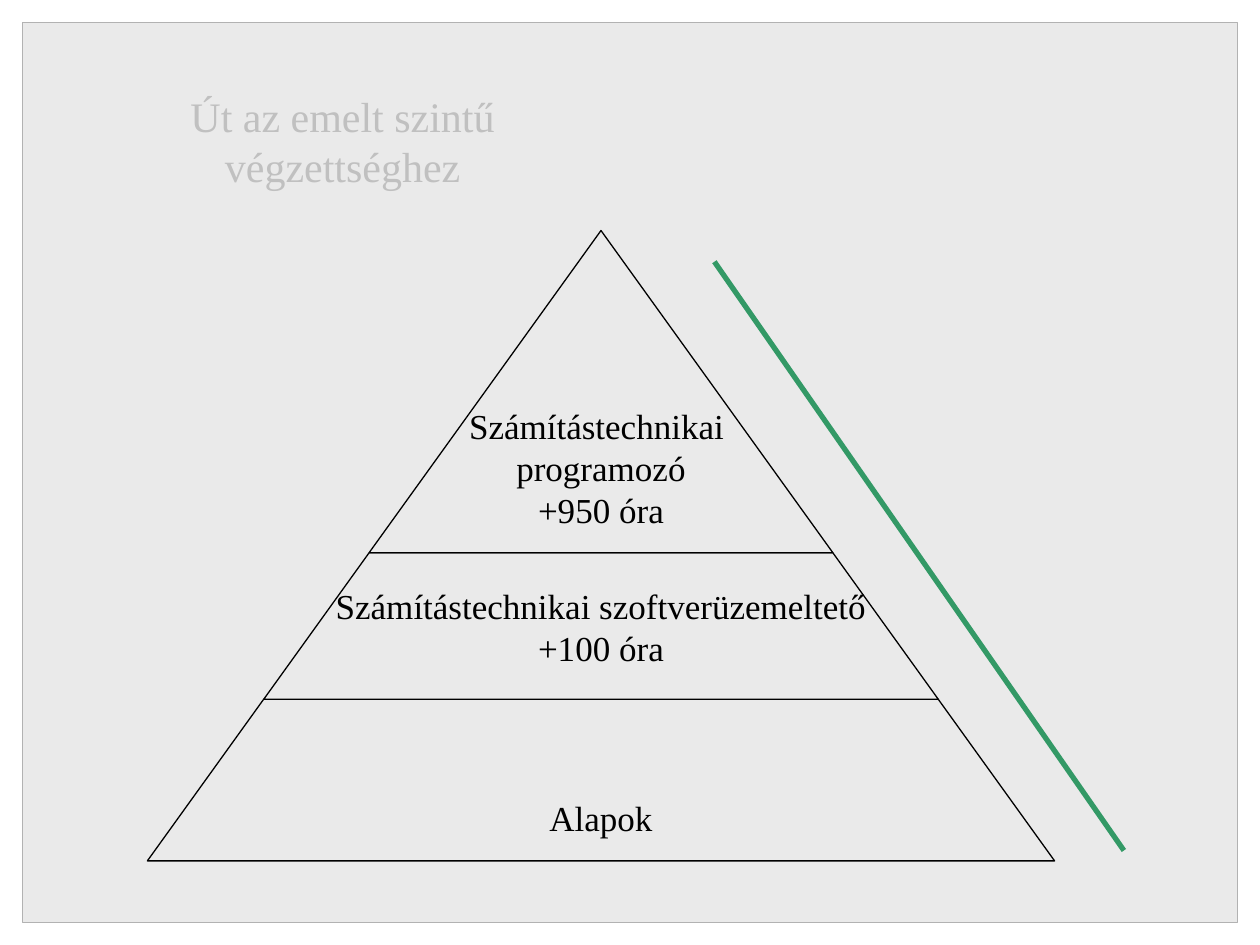
from lxml import etree
from pptx import Presentation, util as u
from pptx.dml.color import RGBColor
from pptx.enum import shapes as sh, text as tx
from pptx.oxml.ns import qn

WIDE, HIGH = u.Inches(10), u.Inches(7.5)
FONT = "Times New Roman"
COLORS = {"panel": "EAEAEA", "edge": "B2B2B2", "title": "C0C0C0",
          "ink": "000000", "green": "339966"}

# Pyramid, as shares of the slide
MID, TOP, BASE, HALF = 0.477, 0.244, 0.911, 0.36
TIERS = [  # upper edge, lower edge, anchor, lines
    (0.74, BASE, tx.MSO_ANCHOR.BOTTOM, ["Alapok"]),
    (0.585, 0.74, tx.MSO_ANCHOR.MIDDLE,
     ["Számítástechnikai szoftverüzemeltető", "+100 óra"]),
    (TOP, 0.585, tx.MSO_ANCHOR.BOTTOM,
     ["Számítástechnikai ", "programozó", "+950 óra"]),
]


def color(name):
    return RGBColor.from_string(COLORS[name])


def pos(x, y):
    """Turn shares of the slide into lengths."""
    return round(x * WIDE), round(y * HIGH)


def paint(shape, edge):
    shape.shadow.inherit = False
    shape.fill.solid()
    shape.fill.fore_color.rgb = color("panel")
    shape.line.color.rgb = color(edge)
    shape.line.width = u.Pt(0.75)


def write(frame, lines, size, ink):
    frame.text = "\n".join(lines)
    for para in frame.paragraphs:
        para.alignment = tx.PP_ALIGN.CENTER
        para.font.name = FONT
        para.font.size = u.Pt(size)
        para.font.color.rgb = color(ink)


def add_panel(slide):
    left, top = pos(0.018, 0.024)
    panel = slide.shapes.add_shape(sh.MSO_SHAPE.RECTANGLE, left, top,
                                   WIDE - 2 * left, HIGH - 2 * top)
    paint(panel, "edge")


def add_title(slide, words):
    box = slide.shapes.add_textbox(*pos(0.044, 0.089), *pos(0.456, 0.067))
    frame = box.text_frame
    frame.word_wrap = True
    frame.margin_left = frame.margin_right = u.Inches(0.3)
    write(frame, [words], 24, "title")


def add_tier(slide, upper, lower, anchor, lines):
    def span(y):
        return HALF * (y - TOP) / (BASE - TOP)

    up, low = span(upper), span(lower)
    build = slide.shapes.build_freeform(*pos(MID - low, lower))
    build.add_line_segments([pos(MID - up, upper), pos(MID + up, upper),
                             pos(MID + low, lower)], close=True)
    tier = build.convert_to_shape()
    paint(tier, "ink")
    frame = tier.text_frame
    frame.word_wrap = False
    frame.vertical_anchor = anchor
    if anchor == tx.MSO_ANCHOR.BOTTOM:
        frame.margin_bottom = u.Inches(0.18)
    write(frame, lines, 20, "ink")


def add_line(slide, start, end):
    line = slide.shapes.add_connector(sh.MSO_CONNECTOR.STRAIGHT,
                                      *pos(*start), *pos(*end))
    line.line.color.rgb = color("green")
    line.line.width = u.Pt(3)
    etree.SubElement(line._element.spPr, qn("a:effectLst"))


def main():
    deck = Presentation()
    deck.slide_width, deck.slide_height = WIDE, HIGH
    slide = deck.slides.add_slide(deck.slide_layouts[6])

    # Background and title
    add_panel(slide)
    add_title(slide, "Út az emelt szintű végzettséghez")

    # Pyramid, from the base up, with the line along its side
    for tier in TIERS:
        add_tier(slide, *tier)
    add_line(slide, (0.892, 0.9), (0.567, 0.277))

    deck.save("out.pptx")


if __name__ == "__main__":
    main()
